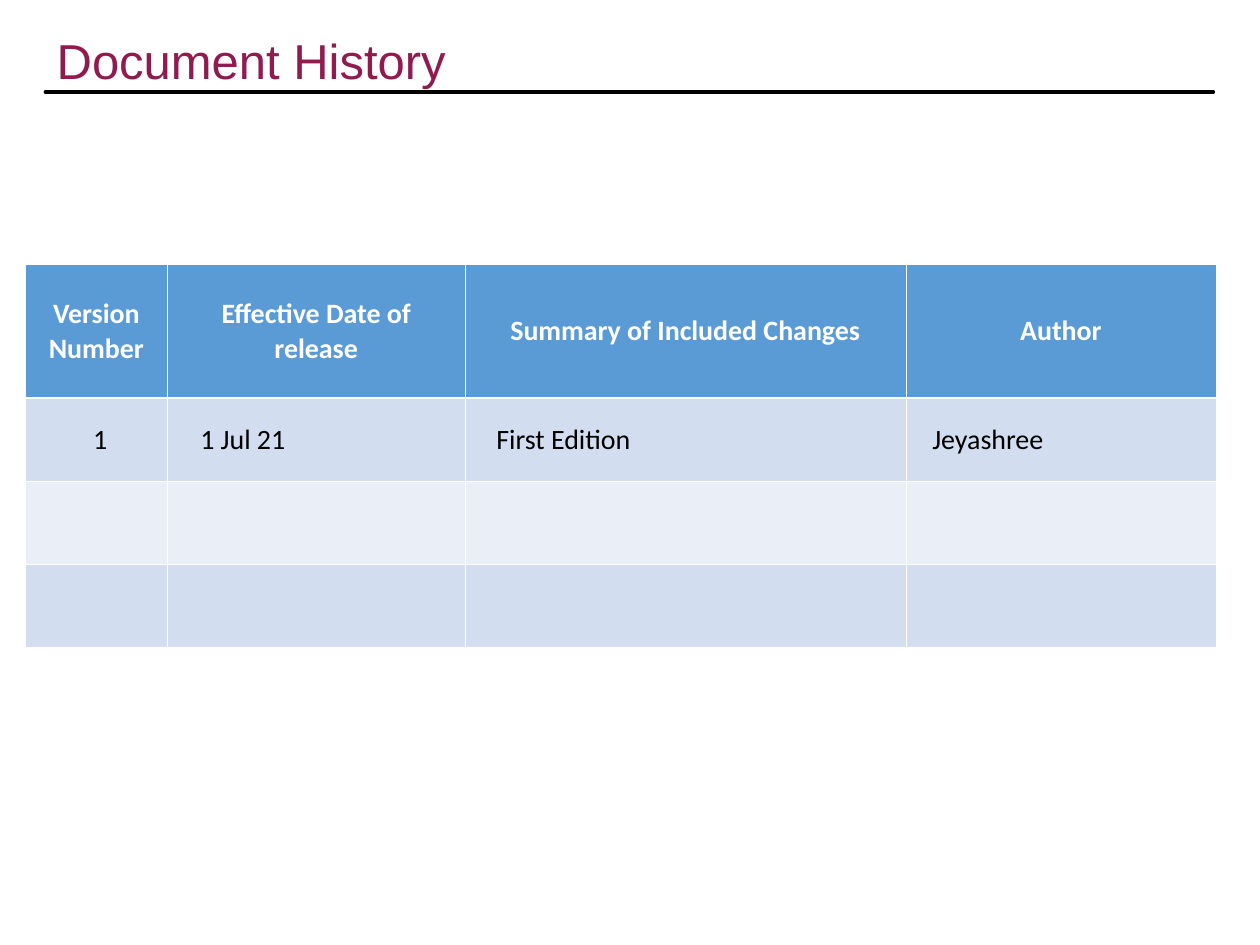
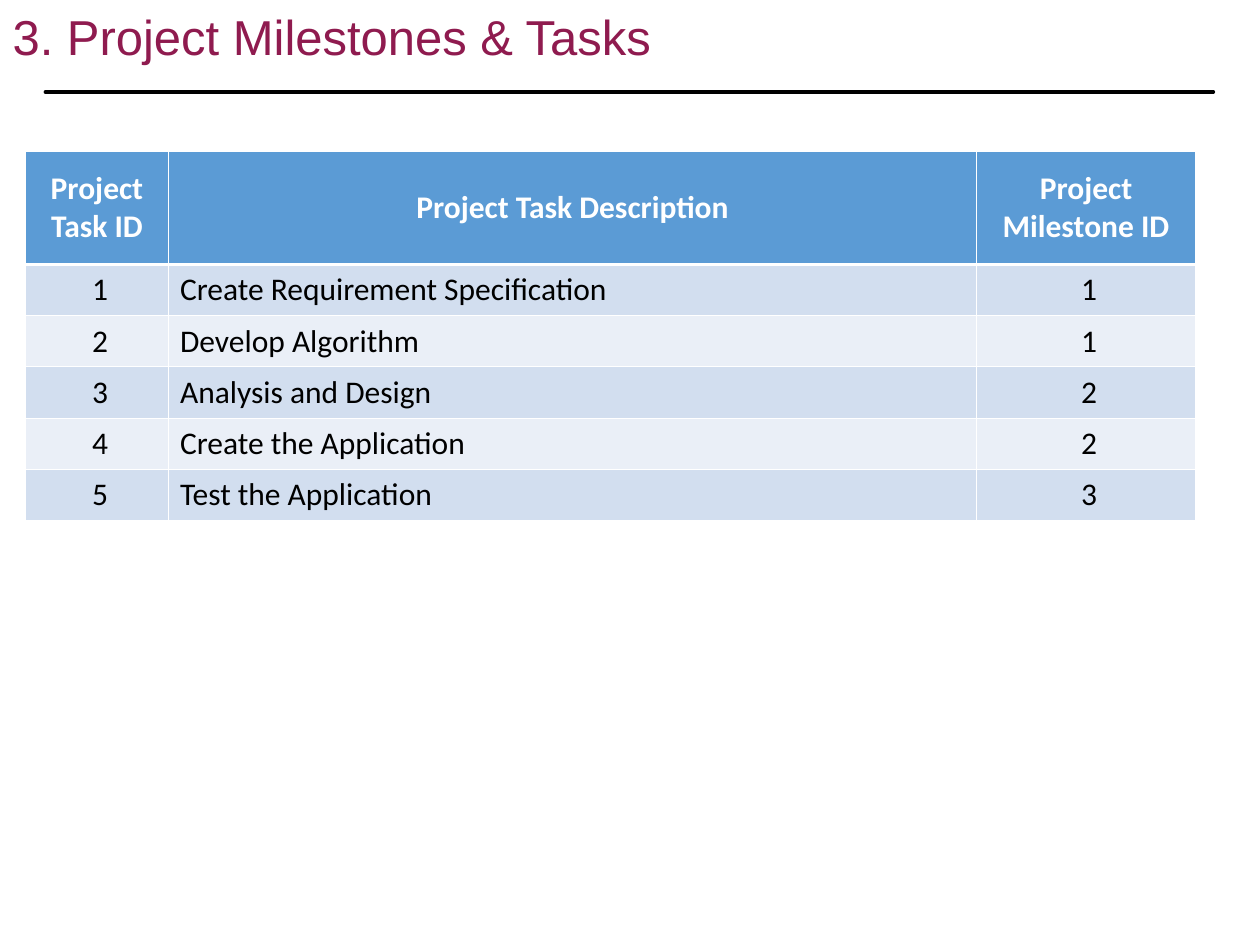
from lxml.etree import SubElement
from pptx import Presentation
from pptx.dml.color import RGBColor
from pptx.enum.shapes import MSO_CONNECTOR
from pptx.enum.text import MSO_ANCHOR, MSO_AUTO_SIZE, PP_ALIGN
from pptx.oxml.ns import qn
from pptx.util import Inches, Pt

COLORS = {
    "title": "8F1B4F",
    "rule": "000000",
    "header": "5B9BD5",
    "header_text": "FFFFFF",
    "body_text": "000000",
    "odd_row": "D2DEEF",
    "even_row": "EAEFF7",
    "grid": "FFFFFF",
}
TITLE_FONT = "Arial"
TABLE_FONT = "Calibri"
THIN, THICK = Pt(0.45), Pt(1.47)


def color(name):
    """Return the named colour of the palette."""
    return RGBColor.from_string(COLORS[name])


def style_font(font, name, size, color_name, bold=False):
    """Apply typeface, size, colour and weight to a font."""
    font.name = name
    font.size = Pt(size)
    font.bold = bold
    font.color.rgb = color(color_name)


def add_titled_page(deck, title, left, top):
    """Add a page with its title at the given corner and the rule below it."""
    page = deck.slides.add_slide(deck.slide_layouts[5])
    box = page.shapes.title
    box.left, box.top = Inches(left), Inches(top)
    box.width, box.height = Inches(7.32), Inches(0.57)
    frame = box.text_frame
    frame.text = title
    frame.word_wrap = True
    frame.auto_size = MSO_AUTO_SIZE.NONE
    frame.vertical_anchor = MSO_ANCHOR.TOP
    para = frame.paragraphs[0]
    para.alignment = PP_ALIGN.LEFT
    style_font(para.runs[0].font, TITLE_FONT, 28, "title")
    add_rule(page)
    return page


def add_rule(page):
    """Draw the round-ended line under the title."""
    rule = page.shapes.add_connector(
        MSO_CONNECTOR.STRAIGHT, Inches(0.36), Inches(0.73), Inches(9.63), Inches(0.73)
    )
    rule.line.color.rgb = color("rule")
    rule.line.width = Pt(2)
    rule.line._get_or_add_ln().set("cap", "rnd")
    SubElement(rule._element.spPr, qn("a:effectLst"))


def add_borders(cell, top, bottom):
    """Draw the grid lines of a cell with the given top and bottom widths."""
    properties = cell._tc.get_or_add_tcPr()
    widths = {"a:lnL": THIN, "a:lnR": THIN, "a:lnT": top, "a:lnB": bottom}
    for tag, width in widths.items():
        line = SubElement(properties, qn(tag), w=str(int(width)))
        fill = SubElement(line, qn("a:solidFill"))
        SubElement(fill, qn("a:srgbClr"), val=COLORS["grid"])


def format_cell(cell, row, text, size, centered, indent, side_margin):
    """Fill one cell and style it as a header or as part of a banded row."""
    is_header = row == 0
    add_borders(cell, THICK if row == 1 else THIN, THICK if is_header else THIN)
    cell.fill.solid()
    band = "odd_row" if row % 2 else "even_row"
    cell.fill.fore_color.rgb = color("header" if is_header else band)
    cell.vertical_anchor = MSO_ANCHOR.MIDDLE
    cell.margin_left = cell.margin_right = Inches(side_margin)
    if not text:
        return
    cell.text_frame.text = text
    para = cell.text_frame.paragraphs[0]
    para.alignment = PP_ALIGN.CENTER if is_header or centered else PP_ALIGN.LEFT
    if not is_header:
        para._p.get_or_add_pPr().set("marL", str(Inches(indent)))
    text_color = "header_text" if is_header else "body_text"
    style_font(para.runs[0].font, TABLE_FONT, size, text_color, is_header)


def add_banded_table(page, top, columns, row_heights, rows, size, side_margin):
    """Add a table; each column is a width, a centring flag and an indent."""
    widths = [width for width, _, _ in columns]
    table = page.shapes.add_table(
        len(rows), len(columns), Inches(0.2), Inches(top),
        Inches(sum(widths)), Inches(sum(row_heights)),
    ).table
    for column, width in zip(table.columns, widths):
        column.width = Inches(width)
    for row, (texts, height) in enumerate(zip(rows, row_heights)):
        table.rows[row].height = Inches(height)
        for index, (text, (_, centered, indent)) in enumerate(zip(texts, columns)):
            cell = table.cell(row, index)
            format_cell(cell, row, text, size, centered, indent, side_margin)


def add_history_page(deck):
    """Build the page that lists the versions of the document."""
    page = add_titled_page(deck, "Document History", 0.35, 0.19)
    columns = [(1.13, True, 0.06), (2.36, False, 0.16), (3.5, False, 0.15), (2.46, False, 0.11)]
    rows = [
        ["Version Number", "Effective Date of release", "Summary of Included Changes", "Author"],
        ["1", "1 Jul 21", "First Edition", "Jeyashree"],
        [""] * 4,
        [""] * 4,
    ]
    add_banded_table(page, 2.1, columns, [1.06] + [0.66] * 3, rows, 16, 0.1)


def add_milestones_page(deck):
    """Build the page that assigns the tasks to milestones."""
    page = add_titled_page(deck, "3. Project Milestones & Tasks", 0, 0)
    columns = [(1.14, True, 0.05), (6.41, False, 0.08), (1.74, True, 0.05)]
    tasks = [
        ("Create Requirement Specification", 1),
        ("Develop Algorithm", 1),
        ("Analysis and Design", 2),
        ("Create the Application", 2),
        ("Test the Application", 3),
    ]
    rows = [["Project Task ID", "Project Task Description", "Project Milestone ID"]]
    rows += [[str(number), task, str(milestone)]
             for number, (task, milestone) in enumerate(tasks, start=1)]
    add_banded_table(page, 1.2, columns, [0.9] + [0.4] * len(tasks), rows, 18, 0.01)


def main():
    """Create the deck and save it."""
    deck = Presentation()
    deck.slide_width, deck.slide_height = Inches(10), Inches(7.5)
    add_history_page(deck)
    add_milestones_page(deck)
    deck.save("out.pptx")


if __name__ == "__main__":
    main()
